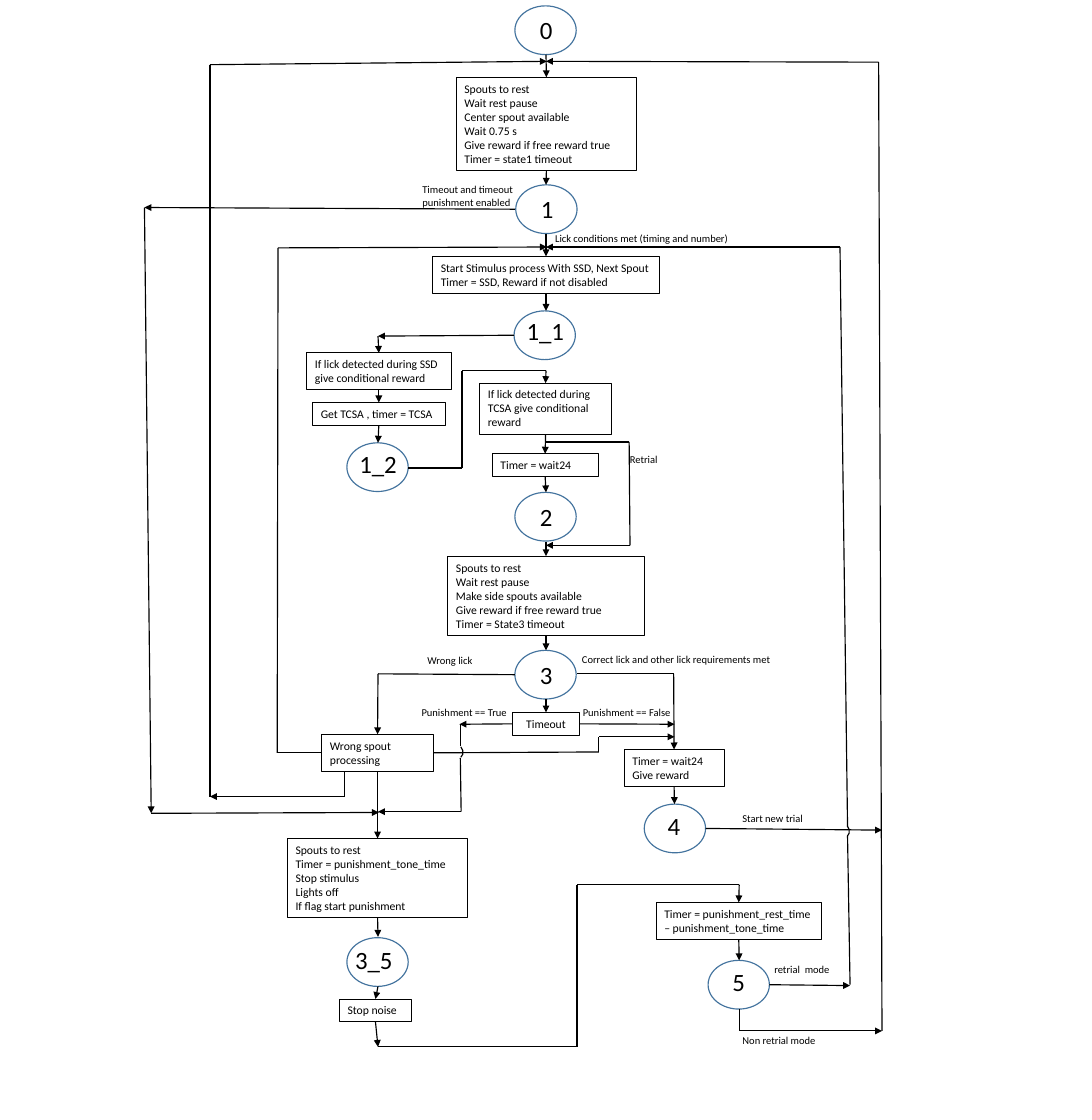
from dataclasses import dataclass
from itertools import pairwise
from typing import Any

from lxml import etree
from pptx import Presentation
from pptx import util as u
from pptx.dml.color import RGBColor
from pptx.enum import shapes, text
from pptx.oxml.ns import qn

BLACK = "000000"
BLUE = "43739E"
TOP, LEFT, BOTTOM, RIGHT = range(4)


def colour(value):
    return RGBColor.from_string(value)


def set_text(shape, lines, size, align=text.PP_ALIGN.LEFT):
    frame = shape.text_frame
    frame.text = "\n".join(lines)
    frame.word_wrap = True
    frame.auto_size = text.MSO_AUTO_SIZE.SHAPE_TO_FIT_TEXT
    frame.vertical_anchor = text.MSO_ANCHOR.TOP
    for paragraph in frame.paragraphs:
        paragraph.alignment = align
        for run in paragraph.runs:
            run.font.size = u.Pt(size)
            run.font.name = "Calibri"
            run.font.color.rgb = colour(BLACK)


@dataclass
class Region:
    slide: Any
    left: float
    top: float

    def place(self, x, y):
        return u.Inches(self.left + x), u.Inches(self.top + y)

    def outline(self, kind, x, y, width, height, line=BLACK, weight=1):
        shape = self.slide.shapes.add_shape(
            kind, *self.place(x, y), u.Inches(width), u.Inches(height))
        shape.shadow.inherit = False
        shape.fill.background()
        shape.line.color.rgb = colour(line)
        shape.line.width = u.Pt(weight)
        return shape

    def note(self, label, x, y, width, height=0.25, size=9):
        box = self.slide.shapes.add_textbox(
            *self.place(x, y), u.Inches(width), u.Inches(height))
        set_text(box, [label], size)

    def state(self, label, x, y, dx=0.2, dy=0.06, width=0.55):
        self.outline(shapes.MSO_SHAPE.OVAL, x, y, 0.73, 0.58, BLUE)
        self.note(label, x + dx, y + dy, width, 0.46, 21.3)

    def step(self, lines, x, y, width, height, align=text.PP_ALIGN.LEFT):
        shape = self.outline(
            shapes.MSO_SHAPE.RECTANGLE, x, y, width, height, BLACK, 0.75)
        set_text(shape, lines, 10, align)
        return shape

    def hop(self, x, y):
        self.outline(shapes.MSO_SHAPE.ARC, x, y, 0.19, 0.16).rotation = 49.8

    def segment(self, start, end, arrow):
        points = [(0, 0) if isinstance(point[0], Shape) else self.place(*point)
                  for point in (start, end)]
        line = self.slide.shapes.add_connector(
            shapes.MSO_CONNECTOR.STRAIGHT, *points[0], *points[1])
        if isinstance(start[0], Shape):
            line.begin_connect(*start)
        if isinstance(end[0], Shape):
            line.end_connect(*end)
        line.line.color.rgb = colour(BLACK)
        line.line.width = u.Pt(1)
        properties = line.line._get_or_add_ln()
        if arrow:
            etree.SubElement(properties, qn("a:tailEnd"), type="triangle")
        etree.SubElement(properties.getparent(), qn("a:effectLst"))

    def route(self, *points, arrow=True):
        pairs = list(pairwise(points))
        for index, (start, end) in enumerate(pairs, 1):
            self.segment(start, end, arrow and index == len(pairs))


def draw_start(region):
    region.state("0", 6.13, 0.07)
    rest = region.step(
        ["Spouts to rest", "Wait rest pause", "Center spout available",
         "Wait 0.75 s", "Give reward if free reward true",
         "Timer = state1 timeout"], 5.43, 0.92, 2.15, 1.11)
    region.state("1", 6.14, 2.2)
    region.route((6.5, 0.65), (rest, TOP))
    region.route((rest, BOTTOM), (6.5, 2.2))
    region.note("Timeout and timeout punishment enabled", 4.93, 2.13, 1.29, 0.4)
    region.note("Lick conditions met (timing and number)", 6.51, 2.71, 2.49)


def draw_stimulus(region):
    stimulus = region.step(
        ["Start Stimulus process With SSD, Next Spout Timer = SSD, "
         "Reward if not disabled"], 5.15, 0.05, 2.7, 0.44)
    region.state("1_1", 6.12, 0.7, 0.05, 0.01, 0.67)
    reward = region.step(
        ["If lick detected during SSD give conditional reward"],
        3.65, 1.2, 1.72, 0.44)
    timer = region.step(["Get TCSA , timer = TCSA"], 3.72, 1.79, 1.58, 0.27)
    region.state("1_2", 4.13, 2.27, 0.05, 0.02, 0.67)
    late_reward = region.step(
        ["If lick detected during TCSA give conditional reward"],
        5.71, 1.56, 1.57, 0.61)
    wait = region.step(["Timer = wait24"], 5.86, 2.4, 1.26, 0.27)
    region.state("2", 6.13, 2.86)
    region.route((6.5, -0.22), (stimulus, TOP))
    region.route((stimulus, BOTTOM), (6.5, 0.7))
    region.route((6.12, 0.99), (4.5, 1))
    region.route((4.5, 1), (reward, TOP))
    region.route((reward, BOTTOM), (timer, TOP))
    region.route((timer, BOTTOM), (4.5, 2.27))
    region.route((4.86, 2.57), (5.5, 2.57), (5.5, 1.41), (6.5, 1.41),
                 (late_reward, TOP))
    region.route((late_reward, BOTTOM), (wait, TOP))
    region.route((wait, BOTTOM), (6.5, 2.86))
    region.route((6.5, 2.26), (7.49, 2.26), (7.5, 3.49), (6.5, 3.49))
    region.note("Retrial", 7.4, 2.34, 0.59)


def draw_response(region):
    sides = region.step(
        ["Spouts to rest", "Wait rest pause", "Make side spouts available",
         "Give reward if free reward true", "Timer = State3 timeout"],
        5.33, 0.12, 2.34, 0.94)
    region.state("3", 6.13, 1.24)
    timeout = region.step(
        ["Timeout"], 6.1, 1.98, 0.8, 0.27, text.PP_ALIGN.CENTER)
    wrong = region.step(["Wrong spout processing"], 3.83, 2.24, 1.33, 0.44)
    reward = region.step(
        ["Timer = wait24", "Give reward"], 7.43, 2.42, 1.19, 0.44)
    region.state("4", 7.67, 3.07, 0.18, 0.03, 0.35)
    region.route((6.5, -0.05), (sides, TOP))
    region.route((sides, BOTTOM), (6.5, 1.24))
    region.route((6.5, 1.82), (timeout, TOP))
    region.route((6.13, 1.53), (4.5, 1.52), (wrong, TOP))
    region.route((6.87, 1.52), (8.02, 1.52), (reward, TOP))
    region.route((timeout, RIGHT), (8.03, 2.12))
    region.route((timeout, LEFT), (5.47, 2.12))
    region.route((wrong, RIGHT), (7.13, 2.45), (7.13, 2.27), (8.03, 2.27))
    region.route((reward, BOTTOM), (8.03, 3.07))
    region.route((5.48, 2.12), (5.48, 2.38), arrow=False)
    region.hop(5.33, 2.36)
    region.route((5.48, 2.52), (5.49, 3.16), (4.5, 3.16))
    region.note("Wrong lick", 4.99, 1.24, 1)
    region.note("Correct lick and other lick requirements met",
                6.83, 1.22, 2.74)
    region.note("Punishment == True", 4.92, 1.85, 1.36)
    region.note("Punishment == False", 6.84, 1.85, 1.36)
    region.note("Start new trial", 8.74, 3.11, 1)
    return wrong


def draw_punishment(region, wrong):
    punish = region.step(
        ["Spouts to rest", "Timer = punishment_tone_time", "Stop stimulus",
         "Lights off", "If flag start punishment"], 3.42, 0.48, 2.15, 0.94)
    region.state("3_5", 4.13, 1.66, 0, 0.04, 0.83)
    stop = region.step(["Stop noise"], 4.04, 2.39, 0.86, 0.27)
    pause = region.step(
        ["Timer = punishment_rest_time – punishment_tone_time"],
        7.81, 1.24, 1.97, 0.44)
    region.state("5", 8.43, 1.93, 0.19, 0.03)
    region.route((wrong, BOTTOM), (punish, TOP))
    region.route((punish, BOTTOM), (4.5, 1.65))
    region.route((4.5, 2.24), (stop, TOP))
    region.route((stop, BOTTOM), (4.5, 2.96))
    region.route((4.5, 2.96), (6.87, 2.96), (6.87, 1.03), (8.8, 1.03),
                 (pause, TOP))
    region.route((pause, BOTTOM), (8.8, 1.93))
    region.note("retrial  mode", 9.12, 1.91, 0.94)
    region.note("Non retrial mode", 8.74, 2.76, 1.15)


def draw_loops(region, wrong):
    for start, end in pairwise(
            [(6.13, 2.49), (1.72, 2.47), (1.8, 9.68), (4.51, 9.67)]):
        region.route(start, end)
    region.route((4.1, 9.18), (4.1, 9.48), (2.5, 9.48))
    region.route((2.5, 9.48), (2.5, 0.77), (6.51, 0.73))
    region.route((wrong, LEFT), (3.3, 8.96), (3.31, 2.95), (6.51, 2.94))
    region.route((8.4, 9.86), (10.5, 9.88))
    region.route((8.8, 12.01), (8.8, 12.27), (10.5, 12.27))
    region.route((10.5, 12.27), (10.46, 0.74), (6.5, 0.73))
    region.route((9.16, 11.72), (10.12, 11.73))
    region.route((10.12, 11.72), (10.09, 9.95), arrow=False)
    region.hop(9.93, 9.8)
    region.route((10.09, 9.83), (10, 2.94), (6.5, 2.94))


presentation = Presentation()
presentation.slide_width = u.Inches(13)
presentation.slide_height = u.Inches(13.33)
slide = presentation.slides.add_slide(presentation.slide_layouts[6])
Shape = type(slide.shapes.add_textbox(0, 0, 0, 0))
slide.shapes[0].element.getparent().remove(slide.shapes[0].element)
draw_start(Region(slide, 0, 0))
draw_stimulus(Region(slide, 0, 3))
wrong_spout = draw_response(Region(slide, 0, 6.5))
draw_punishment(Region(slide, 0, 9.5), wrong_spout)
draw_loops(Region(slide, 0, 0), wrong_spout)
presentation.save("out.pptx")
